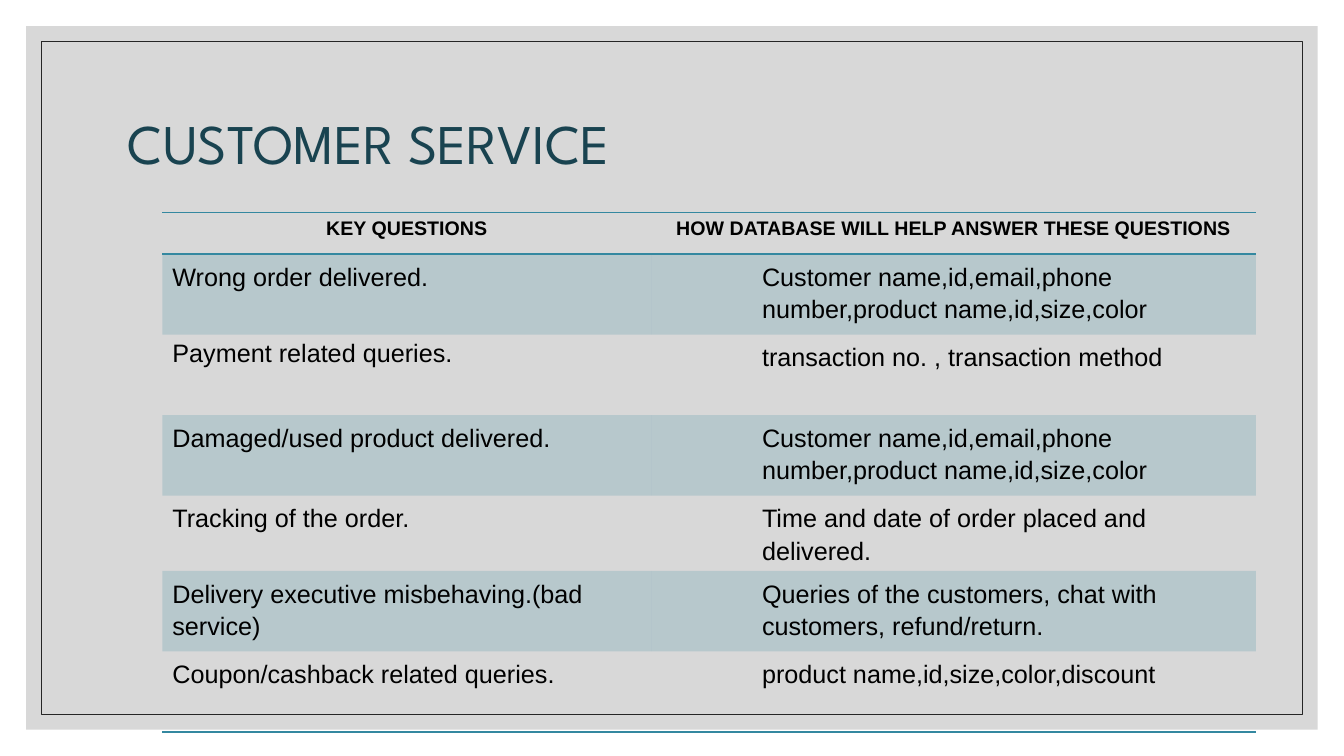
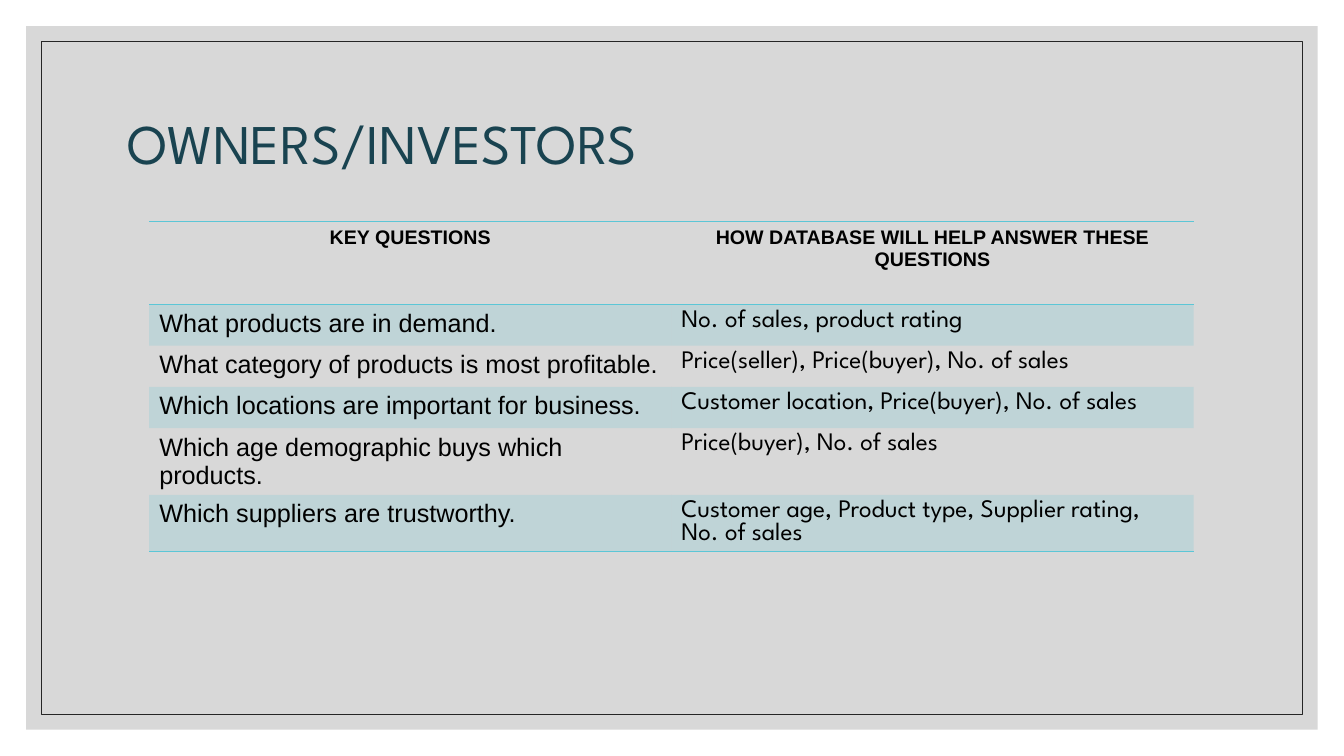
import pptx
import pptx.util
import pptx.dml.color
import pptx.enum.shapes
import pptx.enum.text
import pptx.oxml
import pptx.oxml.ns
from dataclasses import dataclass

Cm, Pt = pptx.util.Cm, pptx.util.Pt
qn = pptx.oxml.ns.qn
RGB = pptx.dml.color.RGBColor.from_string
Align = pptx.enum.text.PP_ALIGN


@dataclass(frozen=True)
class Theme:
    panel: str = "BFBFBF"
    outline: str = "262626"
    title: str = "194350"
    text: str = "000000"
    display_font: str = "League Spartan"
    body_font: str = "Arial"
    title_size: int = 40
    header_size: int = 14
    body_size: int = 18
    panel_alpha: int = 60
    band_alpha: int = 20
    line_width: float = 0.75
    border_width: int = 1
    plain_table: str = "{2D5ABB26-0587-4C30-8999-92F81FD0307C}"


THEME = Theme()
SLIDE_SIZE = (33.87, 19.05)
PANEL_MARGIN, OUTLINE_MARGIN = 0.66, 1.04
TITLE_BOX = (2.97, 1.78, 27.94, 3.81)
HEADERS = ("KEY QUESTIONS", "HOW DATABASE WILL HELP ANSWER THESE QUESTIONS")
PRODUCT_LOOKUP = "Customer name,id,email,phone number,product name,id,size,color"

SLIDES = [
    {
        "title": "CUSTOMER SERVICE",
        "accent": "3488A0",
        "position": (4.09, 5.36),
        "columns": (12.32, 15.24),
        "heights": (1.04, 2.03, 2.03, 2.03, 1.9, 2.03, 2.03),
        "answer_font": THEME.body_font,
        "answer_indent": 2.54,
        "line_spacing": 1.15,
        "justified": ["Payment related queries."],
        "rows": [
            ("Wrong order delivered.", PRODUCT_LOOKUP),
            ("Payment related queries.", "transaction no. , transaction method"),
            ("Damaged/used product delivered.", PRODUCT_LOOKUP),
            ("Tracking of the order.", "Time and date of order placed and delivered."),
            ("Delivery executive misbehaving.(bad service)",
             "Queries of the customers, chat with customers, refund/return."),
            ("Coupon/cashback related queries.", "product name,id,size,color,discount"),
        ],
    },
    {
        "title": "OWNERS/INVESTORS",
        "accent": "5CC6D6",
        "position": (3.76, 5.59),
        "columns": (13.16, 13.16),
        "heights": (2.08, 1.04, 1.04, 1.04, 1.68, 1.42),
        "answer_font": THEME.display_font,
        "answer_indent": 0,
        "line_spacing": 1.0,
        "justified": [],
        "rows": [
            ("What products are in demand.", "No. of sales, product rating"),
            ("What category of products is most profitable.",
             "Price(seller), Price(buyer), No. of sales"),
            ("Which locations are important for business.",
             "Customer location, Price(buyer), No. of sales"),
            ("Which age demographic buys which products.", "Price(buyer), No. of sales"),
            ("Which suppliers are trustworthy.",
             "Customer age, Product type, Supplier rating, No. of sales"),
        ],
    },
]


def fill_solid(fill, color, alpha):
    """Fill with a colour at alpha percent opacity."""
    fill.solid()
    fill.fore_color.rgb = RGB(color)
    tint = fill._xPr.find(".//" + qn("a:srgbClr"))
    pptx.oxml.ns  # namespace helpers are shared with the borders below
    tint.append(pptx.oxml.parse_xml(
        f'<a:alpha {pptx.oxml.ns.nsdecls("a")} val="{alpha * 1000}"/>'))


def format_runs(paragraph, font, size, color, bold=False):
    for run in paragraph.runs:
        run.font.name = font
        run.font.size = Pt(size)
        run.font.color.rgb = RGB(color)
        run.font.bold = bold


def add_border(cell, side, color):
    """Draw one edge of a cell; side is T or B."""
    width = Pt(THEME.border_width)
    cell._tc.get_or_add_tcPr().insert(0, pptx.oxml.parse_xml(
        f'<a:ln{side} {pptx.oxml.ns.nsdecls("a")} w="{width}"><a:solidFill>'
        f'<a:srgbClr val="{color}"/></a:solidFill></a:ln{side}>'))


def add_inset_rectangle(slide, margin):
    width, height = (Cm(side - 2 * margin) for side in SLIDE_SIZE)
    shape = slide.shapes.add_shape(
        pptx.enum.shapes.MSO_SHAPE.RECTANGLE, Cm(margin), Cm(margin), width, height)
    shape.shadow.inherit = False
    return shape


def prepare_layout(layout, slide):
    """Place the title and move the frame, built on the slide, into the layout."""
    title = layout.placeholders[0]
    title.left, title.top, title.width, title.height = map(Cm, TITLE_BOX)

    panel = add_inset_rectangle(slide, PANEL_MARGIN)
    fill_solid(panel.fill, THEME.panel, THEME.panel_alpha)
    panel.line.fill.background()

    outline = add_inset_rectangle(slide, OUTLINE_MARGIN)
    outline.fill.background()
    outline.line.color.rgb = RGB(THEME.outline)
    outline.line.width = Pt(THEME.line_width)

    for index, shape in enumerate((panel, outline), start=2):
        layout.shapes.element.insert(index, shape.element)


def set_title(slide, text):
    frame = slide.shapes.title.text_frame
    frame.text = text
    frame.vertical_anchor = pptx.enum.text.MSO_ANCHOR.MIDDLE
    paragraph = frame.paragraphs[0]
    paragraph.alignment = Align.LEFT
    paragraph.line_spacing = 0.9
    format_runs(paragraph, THEME.display_font, THEME.title_size, THEME.title)


def format_body(paragraph, column, content):
    is_answer = column == 1
    font = content["answer_font"] if is_answer else THEME.body_font
    format_runs(paragraph, font, THEME.body_size, THEME.text)
    if paragraph.text in content["justified"]:
        paragraph.alignment = Align.JUSTIFY
    else:
        paragraph.line_spacing = content["line_spacing"]
    if is_answer and content["answer_indent"]:
        paragraph._p.get_or_add_pPr().set("marL", str(Cm(content["answer_indent"])))


def add_question_table(slide, content):
    rows = [HEADERS] + content["rows"]
    columns, heights = content["columns"], content["heights"]
    graphic_frame = slide.shapes.add_table(
        len(rows), len(columns), *map(Cm, content["position"]),
        Cm(sum(columns)), Cm(sum(heights)))
    table = graphic_frame.table
    table.first_row = table.horz_banding = False
    next(graphic_frame.element.iter(qn("a:tableStyleId"))).text = THEME.plain_table
    for column, width in zip(table.columns, columns):
        column.width = Cm(width)
    for row, height in zip(table.rows, heights):
        row.height = Cm(height)

    for row_index, texts in enumerate(rows):
        is_header = row_index == 0
        for column_index, text in enumerate(texts):
            cell = table.cell(row_index, column_index)
            cell.text_frame.text = text
            paragraph = cell.text_frame.paragraphs[0]
            if is_header:
                paragraph.alignment = Align.CENTER
                format_runs(paragraph, THEME.body_font, THEME.header_size, THEME.text, True)
            else:
                format_body(paragraph, column_index, content)
            if row_index % 2:
                fill_solid(cell.fill, content["accent"], THEME.band_alpha)
            else:
                cell.fill.background()
            if is_header or row_index == len(rows) - 1:
                add_border(cell, "B", content["accent"])
            if is_header:
                add_border(cell, "T", content["accent"])


def main():
    presentation = pptx.Presentation()
    presentation.slide_width, presentation.slide_height = map(Cm, SLIDE_SIZE)
    layout = presentation.slide_layouts[5]
    for index, content in enumerate(SLIDES):
        slide = presentation.slides.add_slide(layout)
        if index == 0:
            prepare_layout(layout, slide)
        set_title(slide, content["title"])
        add_question_table(slide, content)
    presentation.save("out.pptx")


if __name__ == "__main__":
    main()
